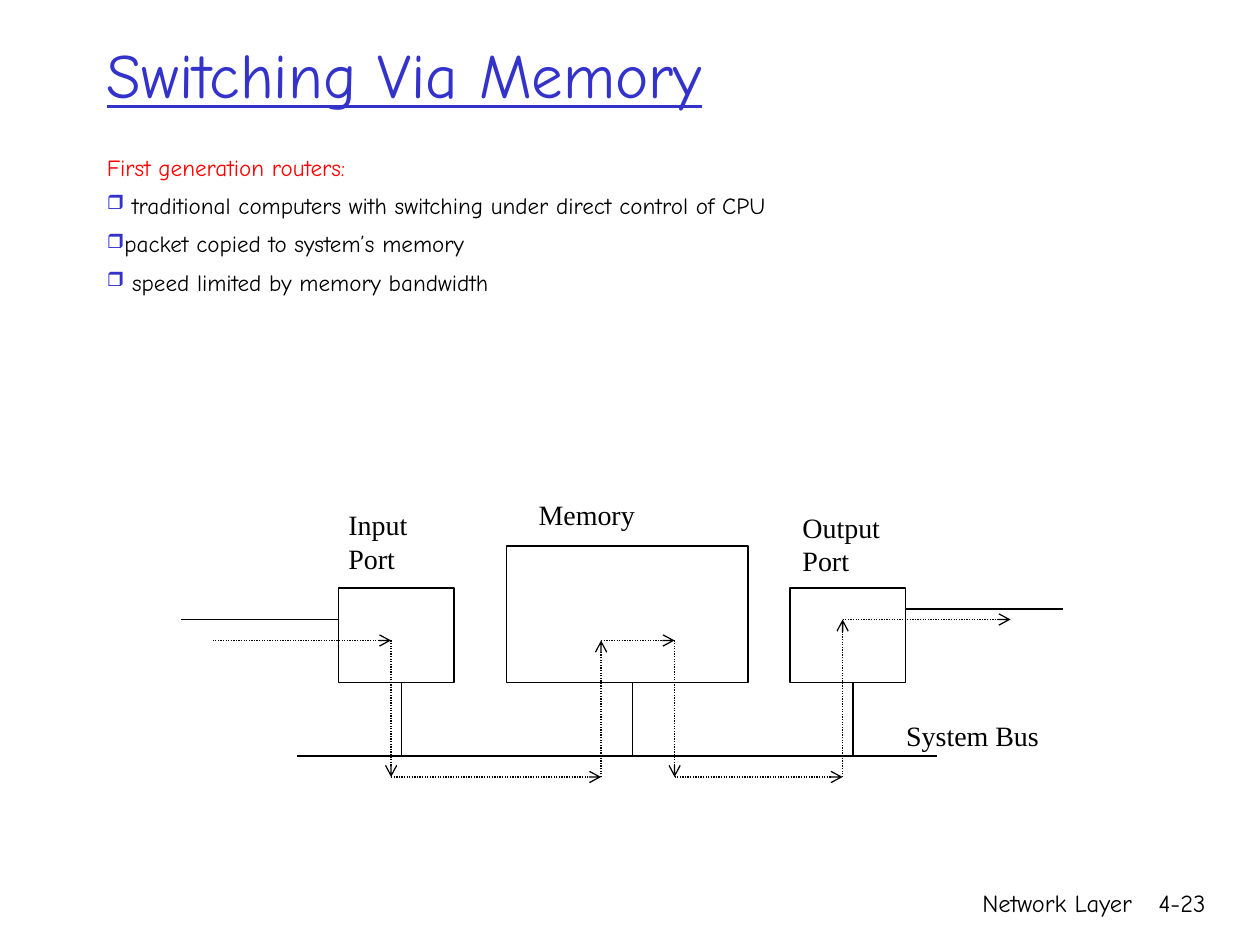
"""Build the slide on switching packets via memory."""
from dataclasses import dataclass
from itertools import pairwise

from lxml.etree import SubElement
from pptx import Presentation
from pptx.dml.color import RGBColor
from pptx.enum.dml import MSO_LINE
from pptx.enum.shapes import MSO_CONNECTOR, MSO_SHAPE
from pptx.enum.text import MSO_ANCHOR, MSO_AUTO_SIZE, PP_ALIGN
from pptx.oxml.ns import qn
from pptx.slide import Slide
from pptx.util import Emu, Pt

EMU_PER_PX = 9525


@dataclass(frozen=True)
class Theme:
    ink: str = "000000"
    accent: str = "3333CC"
    heading: str = "FF0000"
    hand: str = "Comic Neue"
    serif: str = "Times New Roman"
    title_size: float = 36
    body_size: float = 13.2
    footer_size: float = 14
    label_size: float = 16
    stroke: float = 0.75


THEME = Theme()


@dataclass(frozen=True)
class Area:
    left: int
    top: int
    width: int
    height: int

    @property
    def bottom(self) -> int:
        return self.top + self.height

    @property
    def right(self) -> int:
        return self.left + self.width


@dataclass(frozen=True)
class Line:
    text: str
    color: str = THEME.ink
    bullet: str = ""


@dataclass(frozen=True)
class Label:
    text: str
    area: Area


BULLET_INDENT = 12
TITLE_AREA = Area(72, 24, 816, 64)
BODY_AREA = Area(72, 112, 824, 112)
POINTS = [
    Line("First generation routers:", THEME.heading),
    Line(" traditional computers with switching under direct control of CPU", bullet="❒"),
    Line("packet copied to system’s memory", bullet="❒"),
    Line(" speed limited by memory bandwidth", bullet="❒"),
]
FOOTERS = [
    Label("Network Layer", Area(568, 672, 304, 48)),
    Label("4-23", Area(857, 672, 71, 48)),
]
LABELS = [
    Label("Input\nPort", Area(256, 382, 68, 61)),
    Label("Output\nPort", Area(602, 384, 82, 61)),
    Label("Memory", Area(401, 374, 100, 36)),
    Label("System Bus", Area(681, 543, 124, 36)),
]
INPUT_PORT = Area(258, 448, 88, 72)
OUTPUT_PORT = Area(602, 448, 88, 72)
MEMORY = Area(386, 416, 184, 104)
BUS_Y = 576
BUS_TAPS = [(INPUT_PORT, 306), (MEMORY, 482), (OUTPUT_PORT, 650)]
PACKET_ROUTE = [
    (162, 488), (298, 488), (298, 592), (458, 592), (458, 488),
    (514, 488), (514, 592), (642, 592), (642, 472), (770, 472),
]


def px(length: int) -> Emu:
    return Emu(length * EMU_PER_PX)


def place(area: Area) -> tuple[Emu, Emu, Emu, Emu]:
    return px(area.left), px(area.top), px(area.width), px(area.height)


def add_text(slide: Slide, lines: list[Line], area: Area, *, font: str, size: float,
             align: PP_ALIGN = PP_ALIGN.LEFT, anchor: MSO_ANCHOR = MSO_ANCHOR.TOP,
             underline: bool = False, gap: float = 0, indent: int = 0) -> None:
    frame = slide.shapes.add_textbox(*place(area)).text_frame
    frame.word_wrap = True
    frame.auto_size = MSO_AUTO_SIZE.NONE
    frame.vertical_anchor = anchor
    for index, line in enumerate(lines):
        paragraph = frame.paragraphs[0] if index == 0 else frame.add_paragraph()
        paragraph.alignment = align
        properties = paragraph._p.get_or_add_pPr()
        if indent:
            properties.set("marL", str(px(indent)))
            properties.set("indent", str(px(-indent)))
        if line.bullet:
            bullet_color = SubElement(properties, qn("a:buClr"))
            SubElement(bullet_color, qn("a:srgbClr"), val=THEME.accent)
            SubElement(properties, qn("a:buSzPct"), val="85000")
            SubElement(properties, qn("a:buChar"), char=line.bullet)
        if gap and index:
            paragraph.space_before = Pt(gap)
        run = paragraph.add_run()
        run.text = line.text
        run.font.name = font
        run.font.size = Pt(size)
        run.font.underline = underline
        run.font.color.rgb = RGBColor.from_string(line.color)


def add_box(slide: Slide, area: Area) -> None:
    box = slide.shapes.add_shape(MSO_SHAPE.RECTANGLE, *place(area))
    box.shadow.inherit = False
    box.fill.background()
    box.line.color.rgb = RGBColor.from_string(THEME.ink)
    box.line.width = Pt(THEME.stroke)


def add_line(slide: Slide, start: tuple[int, int], end: tuple[int, int],
             *, arrow: bool = False) -> None:
    wire = slide.shapes.add_connector(
        MSO_CONNECTOR.STRAIGHT, *map(px, start), *map(px, end))
    wire.line.color.rgb = RGBColor.from_string(THEME.ink)
    wire.line.width = Pt(THEME.stroke)
    if arrow:
        wire.line.dash_style = MSO_LINE.ROUND_DOT
        SubElement(wire.line._get_or_add_ln(), qn("a:tailEnd"), type="arrow")
    SubElement(wire._element.spPr, qn("a:effectLst"))


def draw_diagram(slide: Slide) -> None:
    for area in (INPUT_PORT, OUTPUT_PORT, MEMORY):
        add_box(slide, area)
    add_line(slide, (226, BUS_Y), (714, BUS_Y))
    for area, tap_x in BUS_TAPS:
        add_line(slide, (tap_x, area.bottom), (tap_x, BUS_Y))
    add_line(slide, (INPUT_PORT.left, 472), (138, 472))
    add_line(slide, (810, 464), (OUTPUT_PORT.right, 464))
    for start, end in pairwise(PACKET_ROUTE):
        add_line(slide, start, end, arrow=True)
    for label in LABELS:
        add_text(slide, [Line(text) for text in label.text.split("\n")], label.area,
                 font=THEME.serif, size=THEME.label_size)


def main() -> None:
    deck = Presentation()
    deck.slide_width, deck.slide_height = px(960), px(720)
    slide = deck.slides.add_slide(deck.slide_layouts[6])
    for footer in FOOTERS:
        add_text(slide, [Line(footer.text)], footer.area, font=THEME.hand,
                 size=THEME.footer_size, align=PP_ALIGN.RIGHT)
    add_text(slide, [Line("Switching Via Memory", THEME.accent)], TITLE_AREA,
             font=THEME.hand, size=THEME.title_size, anchor=MSO_ANCHOR.MIDDLE,
             underline=True)
    add_text(slide, POINTS, BODY_AREA, font=THEME.hand, size=THEME.body_size,
             gap=6, indent=BULLET_INDENT)
    draw_diagram(slide)
    deck.save("out.pptx")


if __name__ == "__main__":
    main()
